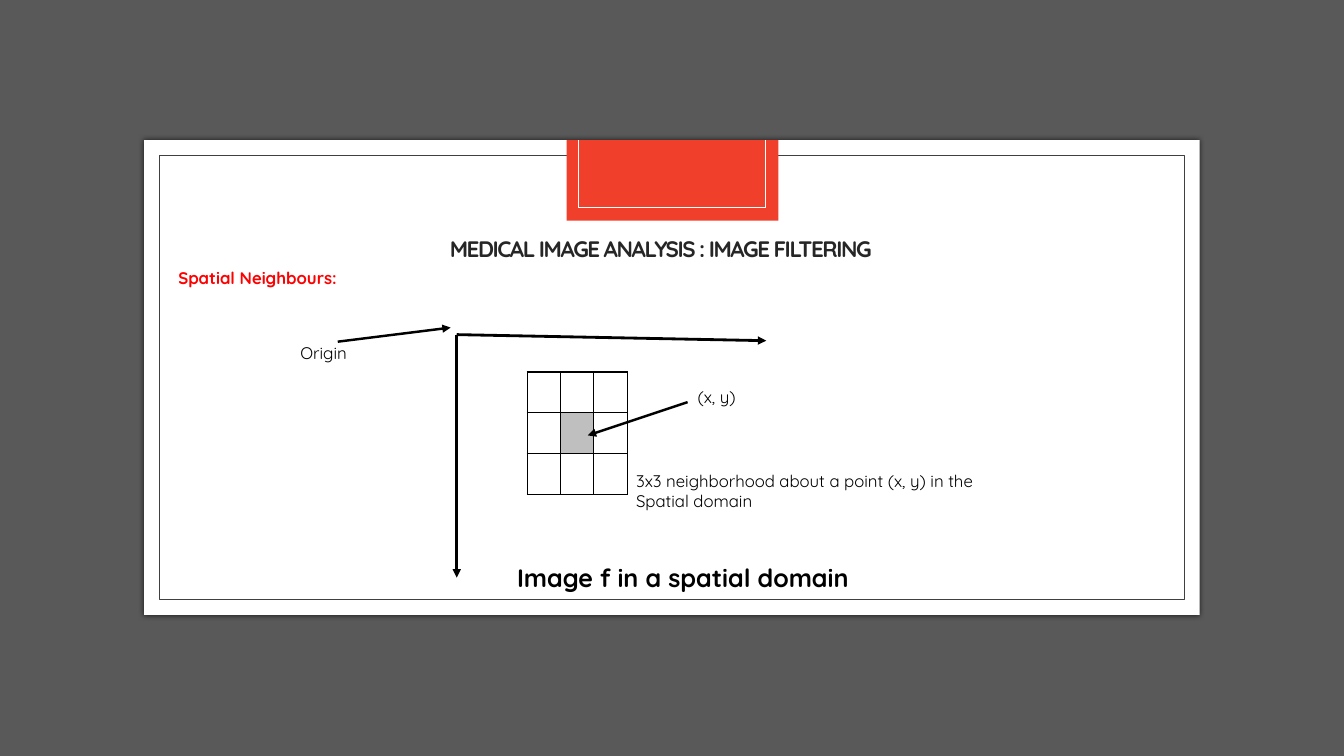
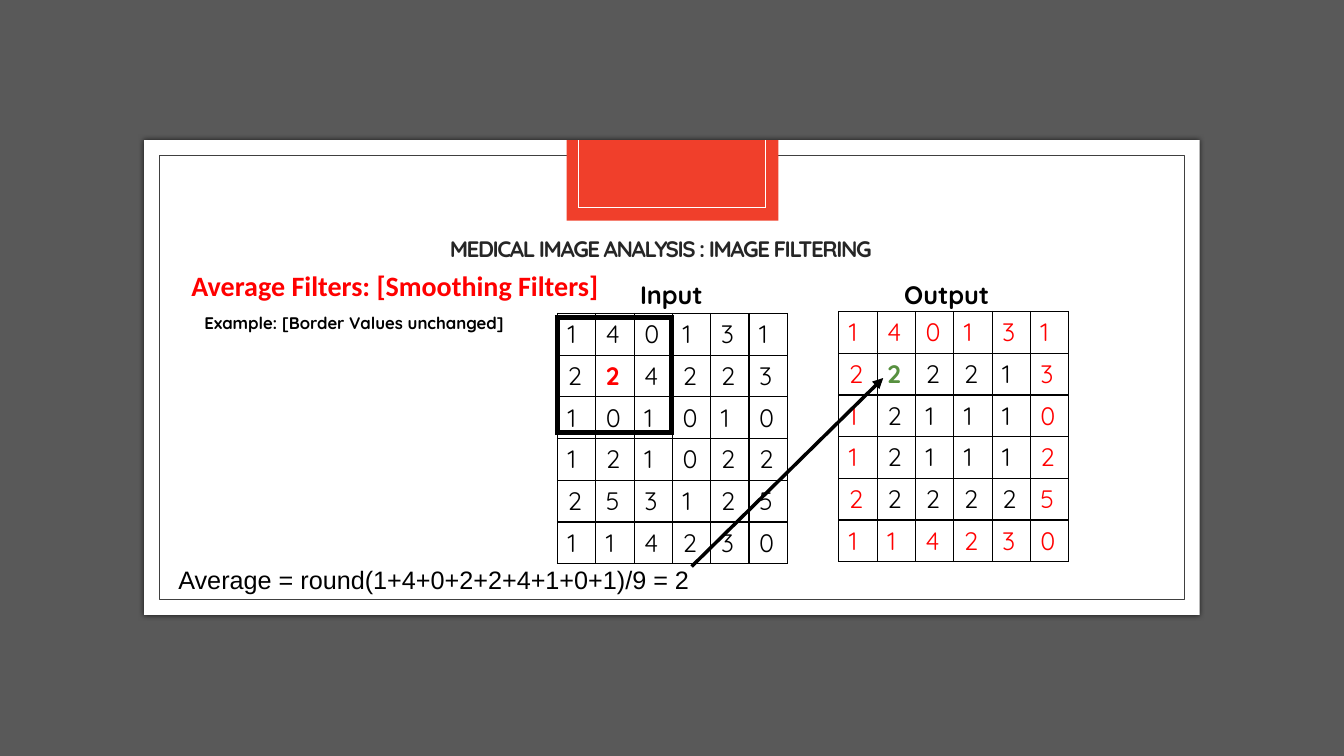
from lxml import etree
from pptx import Presentation
from pptx.dml.color import RGBColor
from pptx.enum.shapes import MSO_CONNECTOR, MSO_SHAPE
from pptx.enum.text import MSO_ANCHOR, PP_ALIGN
from pptx.oxml import parse_xml
from pptx.oxml.ns import nsdecls, qn
from pptx.util import Inches, Pt

rgb = RGBColor.from_string
BLACK, WHITE, RED, GREEN = "000000", "FFFFFF", "FF0000", "57903F"
BACKDROP, FRAME, TAB, TITLE, CENTRE = "595959", "404040", "F03F2B", "262626", "BFBFBF"
FONT = "Quicksand"


def add_line(slide, start, end, color, width, arrow=True):
    points = [Inches(v) for v in (*start, *end)]
    line = slide.shapes.add_connector(MSO_CONNECTOR.STRAIGHT, *points)
    line.line.color.rgb = rgb(color)
    line.line.width = Pt(width)
    properties = line._element.spPr
    if arrow:
        etree.SubElement(properties.find(qn("a:ln")), qn("a:tailEnd"), type="triangle")
    etree.SubElement(properties, qn("a:effectLst"))


def add_grid(slide, left, top, col_width, row_height, rows, border=1):
    n_rows, n_cols = len(rows), len(rows[0])
    table = slide.shapes.add_table(
        n_rows, n_cols, Inches(left), Inches(top),
        Inches(col_width * n_cols), Inches(row_height * n_rows)).table
    table.first_row = table.horz_banding = False
    for r, values in enumerate(rows):
        for c, value in enumerate(values):
            cell = table.cell(r, c)
            cell.text = value
            for side in ("lnL", "lnR", "lnT", "lnB"):
                cell._tc.get_or_add_tcPr().append(parse_xml(
                    f'<a:{side} {nsdecls("a")} w="{Pt(border)}"><a:solidFill>'
                    f'<a:srgbClr val="{BLACK}"/></a:solidFill></a:{side}>'))
            cell.fill.background()
            for run in cell.text_frame.paragraphs[0].runs:
                run.font.name, run.font.size = FONT, Pt(18)
                run.font.color.rgb = rgb(BLACK)
    return table


prs = Presentation()
prs.slide_width, prs.slide_height = Inches(13.33), Inches(7.5)
layout = prs.slide_layouts[5]
for placeholder in list(layout.placeholders)[1:]:
    placeholder._element.getparent().remove(placeholder._element)

# Titles
neighbours = prs.slides.add_slide(layout)
averaging = prs.slides.add_slide(layout)
for slide in (neighbours, averaging):
    title = slide.shapes.title
    title.left, title.top = Inches(1.67), Inches(2.24)
    title.width, title.height = Inches(9.77), Inches(0.5)
    title.text_frame.text = "MEDICAL IMAGE ANALYSIS : IMAGE FILTERING"
    title.text_frame.vertical_anchor = MSO_ANCHOR.MIDDLE
    heading = title.text_frame.paragraphs[0]
    heading.alignment, heading.line_spacing = PP_ALIGN.CENTER, 0.83
    font = heading.runs[0].font
    font.name, font.size, font.bold = FONT, Pt(16), True
    font.color.rgb = rgb(TITLE)
    heading.runs[0]._r.get_or_add_rPr().set("spc", "-100")

# Shared frame: drawn once, then moved to the layout
for box, fill, outline in [
    ((0, 0, 13.33, 7.5), BACKDROP, None),
    ((1.43, 1.39, 10.47, 4.71), WHITE, None),
    ((1.58, 1.54, 10.17, 4.41), None, FRAME),
    ((5.62, 1.39, 2.1, 0.8), TAB, None),
]:
    panel = neighbours.shapes.add_shape(MSO_SHAPE.RECTANGLE, *[Inches(v) for v in box])
    panel.shadow.inherit = False
    if fill:
        panel.fill.solid()
        panel.fill.fore_color.rgb = rgb(fill)
    else:
        panel.fill.background()
    if outline:
        panel.line.color.rgb = rgb(outline)
        panel.line.width = Pt(0.5)
    else:
        panel.line.fill.background()
    if fill == WHITE:
        panel._element.spPr.find(qn("a:effectLst")).append(parse_xml(
            f'<a:outerShdw {nsdecls("a")} blurRad="{Pt(4)}" dist="0">'
            f'<a:srgbClr val="{BLACK}"><a:alpha val="66000"/></a:srgbClr></a:outerShdw>'))
tab_corners = [(5.74, 1.39), (5.74, 2.06), (7.59, 2.06), (7.59, 1.39)]
for start, end in zip(tab_corners, tab_corners[1:]):
    add_line(neighbours, start, end, WHITE, 0.5, arrow=False)
for position, part in enumerate(list(neighbours.shapes)[1:], start=2):
    layout.shapes._spTree.insert(position, part._element)

# Slide 1: axes and 3x3 neighbourhood
origin = (4.53, 3.32)
add_line(neighbours, origin, (4.53, 5.73), BLACK, 2)
add_line(neighbours, origin, (7.6, 3.38), BLACK, 2)
add_line(neighbours, (3.35, 3.39), (4.47, 3.25), BLACK, 1.75)
neighbourhood = add_grid(neighbours, 5.23, 3.69, 0.33, 0.4, [[""] * 3] * 3)
centre = neighbourhood.cell(1, 1)
centre.fill.solid()
centre.fill.fore_color.rgb = rgb(CENTRE)
add_line(neighbours, (6.82, 3.99), (5.83, 4.32), BLACK, 1.75)

# Slide 2: input with filter window, output with unchanged border
input_rows = ["140131", "224223", "101010", "121022", "253125", "114230"]
output_rows = ["140131", "222213", "121110", "121112", "222225", "114230"]
input_grid = add_grid(averaging, 5.53, 3.11, 0.38, 0.4, input_rows)
add_grid(averaging, 5.53, 3.15, 1.13, 1.14, [[""]], border=4.5)
output_grid = add_grid(averaging, 8.32, 3.09, 0.38, 0.4, output_rows)
for r in range(6):
    for c in range(6):
        if r in (0, 5) or c in (0, 5):
            edge = output_grid.cell(r, c).text_frame.paragraphs[0].runs[0]
            edge.font.color.rgb = rgb(RED)
for grid, color in [(input_grid, RED), (output_grid, GREEN)]:
    pixel = grid.cell(1, 1).text_frame.paragraphs[0].runs[0]
    pixel.font.bold = True
    pixel.font.color.rgb = rgb(color)
add_line(averaging, (6.86, 5.62), (8.76, 3.75), BLACK, 2.5)

# Labels: slide, box, text, size, bold, colour, font, wrap
for slide, box, text, size, bold, color, face, wrap in [
    (neighbours, (1.67, 2.61, 8.13, 0.3), "Spatial Neighbours:", 12, True, RED, FONT, True),
    (neighbours, (2.88, 3.35, 0.68, 0.3), "Origin", 12, False, BLACK, FONT, False),
    (neighbours, (6.82, 3.79, 0.59, 0.3), "(x, y)", 12, False, BLACK, FONT, False),
    (neighbours, (6.21, 4.62, 3.85, 0.5),
     "3x3 neighborhood about a point (x, y) in the\nSpatial domain",
     12, False, BLACK, FONT, False),
    (neighbours, (5.03, 5.53, 3.56, 0.4), "Image f in a spatial domain",
     18, True, BLACK, FONT, False),
    (averaging, (1.93, 3.05, 3.24, 0.3), "Example: [Border Values unchanged]",
     12, True, BLACK, FONT, False),
    (averaging, (1.67, 5.55, 5.32, 0.4), "Average = round(1+4+0+2+2+4+1+0+1)/9 = 2",
     18, False, BLACK, "Arial", False),
    (averaging, (6.25, 2.72, 0.83, 0.4), "Input", 18, True, BLACK, FONT, False),
    (averaging, (8.87, 2.72, 1.07, 0.4), "Output", 18, True, BLACK, FONT, False),
    (averaging, (1.8, 2.59, 6.67, 0.46), "Average Filters: [Smoothing Filters]",
     20, True, RED, "Calibri", True),
]:
    frame = slide.shapes.add_textbox(*[Inches(v) for v in box]).text_frame
    frame.word_wrap = wrap
    frame.text = text
    for paragraph in frame.paragraphs:
        if face == "Calibri":
            paragraph.line_spacing = 1.07
        font = paragraph.runs[0].font
        font.name, font.size, font.bold = face, Pt(size), bold
        font.color.rgb = rgb(color)

prs.save("out.pptx")
